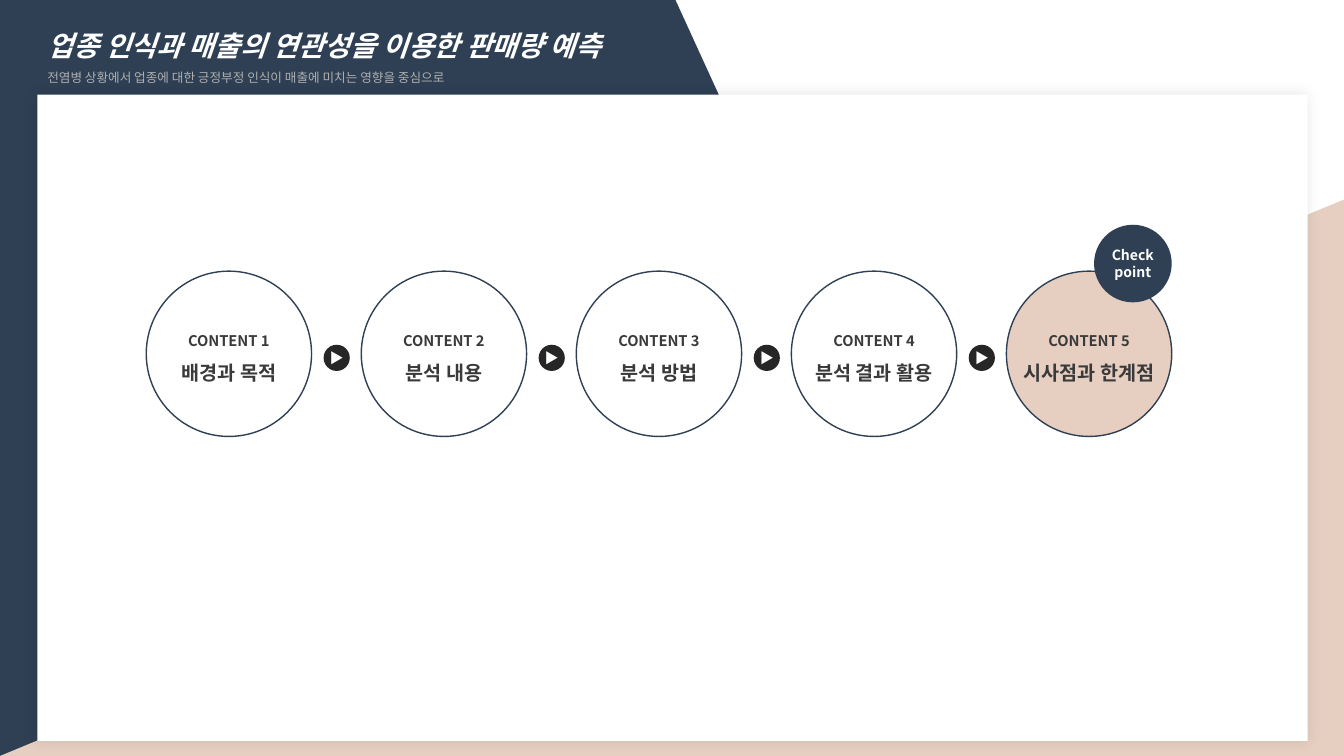
from dataclasses import dataclass

from lxml.etree import SubElement
from pptx import Presentation
from pptx.dml.color import RGBColor
from pptx.enum.shapes import MSO_SHAPE
from pptx.enum.text import MSO_ANCHOR, PP_ALIGN
from pptx.oxml.ns import qn
from pptx.shapes.autoshape import Shape
from pptx.slide import Slide
from pptx.text.text import TextFrame
from pptx.util import Inches, Pt

NAVY = RGBColor(0x2F, 0x40, 0x54)
BEIGE = RGBColor(0xE6, 0xCF, 0xC1)
WHITE = RGBColor(0xFF, 0xFF, 0xFF)
SILVER = RGBColor(0xAF, 0xAF, 0xAF)
CHARCOAL = RGBColor(0x3A, 0x3A, 0x3A)
INK = RGBColor(0x26, 0x26, 0x26)
FONT = "Noto Sans CJK KR"
SLIDE_WIDTH, SLIDE_HEIGHT = Inches(13.33), Inches(7.5)
STEP_PITCH = 16


@dataclass(frozen=True)
class Area:
    """Left, top, width and height as percentages of the slide."""

    left: float
    top: float
    width: float
    height: float

    def shifted(self, columns: int) -> "Area":
        return Area(self.left + columns * STEP_PITCH, self.top, self.width, self.height)

    def lengths(self) -> tuple[int, int, int, int]:
        return across(self.left), down(self.top), across(self.width), down(self.height)


@dataclass(frozen=True)
class Step:
    topic: str
    fill: RGBColor | None = None


FIRST_STEP = Area(10.88, 35.87, 12.3, 21.87)
FIRST_ARROW = Area(24.08, 45.6, 1.95, 3.47)
STEPS = (
    Step("배경과 목적"),
    Step("분석 내용"),
    Step("분석 방법"),
    Step("분석 결과 활용"),
    Step("시사점과 한계점", BEIGE),
)


def across(percent: float) -> int:
    return round(SLIDE_WIDTH * percent / 100)


def down(percent: float) -> int:
    return round(SLIDE_HEIGHT * percent / 100)


def paint(figure: Shape, fill: RGBColor | None, outline: RGBColor | None = None) -> None:
    figure.shadow.inherit = False
    if fill is None:
        figure.fill.background()
    else:
        figure.fill.solid()
        figure.fill.fore_color.rgb = fill
    if outline is None:
        figure.line.fill.background()
    else:
        figure.line.color.rgb = outline
        figure.line.width = Pt(1)


def add_figure(slide: Slide, kind: MSO_SHAPE, area: Area, fill: RGBColor | None,
               outline: RGBColor | None = None) -> Shape:
    figure = slide.shapes.add_shape(kind, *area.lengths())
    paint(figure, fill, outline)
    return figure


def write(frame: TextFrame, text: str, *, size: float, color: RGBColor,
          bold: bool = False, italic: bool = False, spacing: float = 1.0,
          align: PP_ALIGN = PP_ALIGN.CENTER) -> None:
    paragraph = frame.add_paragraph() if frame.text else frame.paragraphs[0]
    paragraph.alignment = align
    paragraph.line_spacing = spacing
    run = paragraph.add_run()
    run.text = text
    run.font.name = FONT
    run.font.size = Pt(size)
    run.font.bold = bold
    run.font.italic = italic
    run.font.color.rgb = color
    SubElement(run.font._element, qn("a:ea"), typeface=FONT)


def add_disc(slide: Slide, area: Area, fill: RGBColor | None,
             outline: RGBColor | None = None) -> TextFrame:
    frame = add_figure(slide, MSO_SHAPE.OVAL, area, fill, outline).text_frame
    frame.word_wrap = False
    frame.vertical_anchor = MSO_ANCHOR.MIDDLE
    return frame


def add_glow(panel: Shape) -> None:
    effects = panel._element.spPr.find(qn("a:effectLst"))
    shadow = SubElement(effects, qn("a:outerShdw"), blurRad=str(Pt(10)),
                        dist="0", dir="0", algn="ctr", rotWithShape="0")
    tint = SubElement(shadow, qn("a:srgbClr"), val="000000")
    SubElement(tint, qn("a:alpha"), val="10000")


def add_backdrop(slide: Slide) -> None:
    outline = slide.shapes.build_freeform(0, down(100))
    corners = ((0, 0), (50.26, 0), (65.04, 57.47), (50.26, 100))
    outline.add_line_segments([(across(x), down(y)) for x, y in corners], close=True)
    paint(outline.convert_to_shape(), NAVY)
    slope = add_figure(slide, MSO_SHAPE.RIGHT_TRIANGLE, Area(0, 26.4, 100, 73.6), BEIGE)
    slope._element.spPr.xfrm.set("flipH", "1")
    add_glow(add_figure(slide, MSO_SHAPE.RECTANGLE, Area(2.78, 12.53, 94.52, 85.47), WHITE))


def add_heading(slide: Slide) -> None:
    heading = slide.shapes.add_textbox(*Area(2.78, 0.93, 73.29, 10.67).lengths()).text_frame
    heading.word_wrap = True
    write(heading, "업종 인식과 매출의 연관성을 이용한 판매량 예측", size=20, color=WHITE,
          bold=True, italic=True, spacing=1.5, align=PP_ALIGN.LEFT)
    write(heading, "전염병 상황에서 업종에 대한 긍정부정 인식이 매출에 미치는 영향을 중심으로",
          size=9, color=SILVER, spacing=1.5, align=PP_ALIGN.LEFT)


def add_steps(slide: Slide) -> None:
    for index, step in enumerate(STEPS):
        circle = add_disc(slide, FIRST_STEP.shifted(index), step.fill, NAVY)
        write(circle, f"CONTENT {index + 1}", size=10.5, color=CHARCOAL, bold=True, spacing=1.5)
        write(circle, step.topic, size=14, color=CHARCOAL, bold=True, spacing=1.5)
        if index < len(STEPS) - 1:
            arrow = add_disc(slide, FIRST_ARROW.shifted(index), INK)
            write(arrow, "▶", size=10, color=WHITE)


def add_checkpoint(slide: Slide) -> None:
    checkpoint = add_disc(slide, Area(81.4, 29.73, 5.78, 10.27), NAVY)
    for word in ("Check", "point"):
        write(checkpoint, word, size=10, color=WHITE, bold=True)


def main() -> None:
    deck = Presentation()
    deck.slide_width, deck.slide_height = SLIDE_WIDTH, SLIDE_HEIGHT
    slide = deck.slides.add_slide(deck.slide_layouts[6])
    add_backdrop(slide)
    add_heading(slide)
    add_steps(slide)
    add_checkpoint(slide)
    deck.save("out.pptx")


if __name__ == "__main__":
    main()
